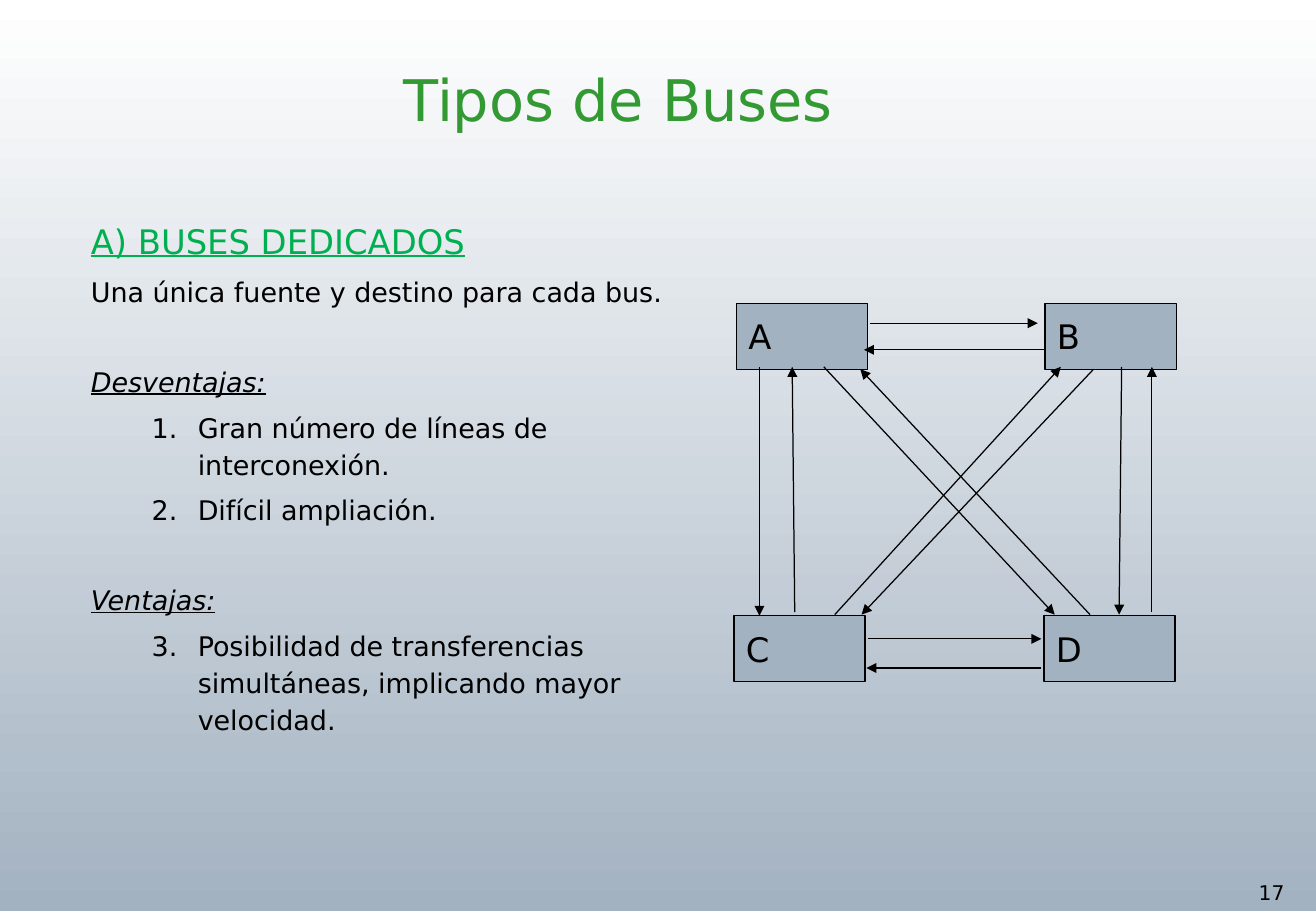
from dataclasses import dataclass

from lxml import etree
from pptx import Presentation
from pptx import util as u
from pptx.dml.color import RGBColor
from pptx.enum import shapes, text
from pptx.oxml import ns

FONT = "DejaVu Sans"
BLACK, STEEL, WHITE = "000000", "A3B2C1", "FFFFFF"
TITLE_GREEN, HEADING_GREEN = "339933", "00B050"
LINE_WIDTH = u.Pt(0.75)
LINE_SPACING = 1.15
SPACING_SHARE = 0.15
SECTION_GAP = 26.7
HANGING = u.Inches(0.38)
LIST_INDENT = u.Inches(0.88)

presentation = Presentation()
presentation.slide_width = u.Inches(10.83)
presentation.slide_height = u.Inches(7.5)
COLUMN = presentation.slide_width / 100
ROW = presentation.slide_height / 100


@dataclass(frozen=True)
class Area:
    column: float
    row: float
    columns: float
    rows: float


@dataclass(frozen=True)
class Node:
    label: str
    column: float
    row: float
    columns: float = 9.97
    rows: float = 7.2


@dataclass(frozen=True)
class Bus:
    start_column: float
    start_row: float
    end_column: float
    end_row: float


@dataclass(frozen=True)
class Line:
    wording: str
    size: float = 16
    color: str = BLACK
    italic: bool = False
    underline: bool = False
    number: int = 0
    gap: float = 0


TITLE_AREA = Area(9.6, 5.2, 74.79, 10.13)
BODY_AREA = Area(6, 22.93, 46.45, 60.67)
PAGE_AREA = Area(94.74, 96, 5.26, 4)

LINES = [
    Line("A) BUSES DEDICADOS", size=20, color=HEADING_GREEN, underline=True),
    Line("Una única fuente y destino para cada bus."),
    Line("Desventajas:", italic=True, underline=True, gap=SECTION_GAP),
    Line("Gran número de líneas de interconexión.", number=1),
    Line("Difícil ampliación.", number=2),
    Line("Ventajas:", italic=True, underline=True, gap=SECTION_GAP),
    Line("Posibilidad de transferencias simultáneas, implicando mayor velocidad.", number=3),
]

NODES = [
    Node("A", 55.96, 33.33),
    Node("B", 79.41, 33.33),
    Node("C", 55.77, 67.6),
    Node("D", 79.32, 67.6),
]

BUSES = [
    Bus(66.11, 35.47, 78.86, 35.47),
    Bus(79.32, 38.4, 65.65, 38.4),
    Bus(57.71, 40.27, 57.71, 67.6),
    Bus(60.39, 67.2, 60.2, 40.27),
    Bus(85.23, 40.27, 85.04, 67.47),
    Bus(87.53, 67.2, 87.53, 40.27),
    Bus(65.93, 70.13, 79.13, 70.13),
    Bus(79.13, 73.33, 65.84, 73.33),
    Bus(63.43, 67.47, 80.61, 40.27),
    Bus(83.1, 40.53, 65.47, 67.47),
    Bus(62.6, 40.27, 80.15, 67.47),
    Bus(82.83, 67.47, 65.37, 40.53),
]


def paint(color_format, value: str) -> None:
    color_format.rgb = RGBColor.from_string(value)


def place(area: Area | Node) -> tuple[int, int, int, int]:
    return (
        round(area.column * COLUMN),
        round(area.row * ROW),
        round(area.columns * COLUMN),
        round(area.rows * ROW),
    )


def add_run(paragraph, line: Line) -> None:
    run = paragraph.add_run()
    run.text = line.wording
    run.font.name = FONT
    run.font.size = u.Pt(line.size)
    run.font.italic = line.italic
    run.font.underline = line.underline
    paint(run.font.color, line.color)


def space(paragraph, line: Line) -> None:
    paragraph.line_spacing = LINE_SPACING
    paragraph.space_before = u.Pt(line.size * SPACING_SHARE + line.gap)
    paragraph.space_after = u.Pt(line.size * SPACING_SHARE)


def indent(paragraph, number: int) -> None:
    properties = paragraph._p.get_or_add_pPr()
    properties.set("marL", str(LIST_INDENT if number else HANGING))
    properties.set("indent", str(-HANGING))
    if number:
        bullet = etree.SubElement(properties, ns.qn("a:buAutoNum"))
        bullet.set("type", "arabicPeriod")
        bullet.set("startAt", str(number))


def draw_background(slide) -> None:
    fill = slide.background.fill
    fill.gradient()
    fill.gradient_angle = 270
    for stop, position, color in zip(fill.gradient_stops, (0, 1), (WHITE, STEEL)):
        stop.position = position
        paint(stop.color, color)


def draw_title(slide) -> None:
    title = slide.shapes.title
    title.left, title.top, title.width, title.height = place(TITLE_AREA)
    frame = title.text_frame
    frame.auto_size = text.MSO_AUTO_SIZE.NONE
    frame.vertical_anchor = text.MSO_ANCHOR.TOP
    paragraph = frame.paragraphs[0]
    paragraph.alignment = text.PP_ALIGN.CENTER
    line = Line("Tipos de Buses", size=34, color=TITLE_GREEN)
    space(paragraph, line)
    add_run(paragraph, line)


def draw_body(slide) -> None:
    frame = slide.shapes.add_textbox(*place(BODY_AREA)).text_frame
    frame.word_wrap = True
    for index, line in enumerate(LINES):
        paragraph = frame.add_paragraph() if index else frame.paragraphs[0]
        space(paragraph, line)
        indent(paragraph, line.number)
        add_run(paragraph, line)


def draw_page_number(slide) -> None:
    frame = slide.shapes.add_textbox(*place(PAGE_AREA)).text_frame
    frame.word_wrap = False
    add_run(frame.paragraphs[0], Line("17", size=12))


def draw_node(slide, node: Node) -> None:
    shape = slide.shapes.add_shape(shapes.MSO_SHAPE.RECTANGLE, *place(node))
    shape.shadow.inherit = False
    shape.fill.solid()
    paint(shape.fill.fore_color, STEEL)
    paint(shape.line.color, BLACK)
    shape.line.width = LINE_WIDTH
    frame = shape.text_frame
    frame.vertical_anchor = text.MSO_ANCHOR.MIDDLE
    paragraph = frame.paragraphs[0]
    paragraph.alignment = text.PP_ALIGN.LEFT
    add_run(paragraph, Line(node.label, size=20))


def draw_bus(slide, bus: Bus) -> None:
    connector = slide.shapes.add_connector(
        shapes.MSO_CONNECTOR.STRAIGHT,
        round(bus.start_column * COLUMN),
        round(bus.start_row * ROW),
        round(bus.end_column * COLUMN),
        round(bus.end_row * ROW),
    )
    paint(connector.line.color, BLACK)
    connector.line.width = LINE_WIDTH
    outline = connector.line._get_or_add_ln()
    etree.SubElement(outline, ns.qn("a:tailEnd")).set("type", "triangle")
    etree.SubElement(connector._element.spPr, ns.qn("a:effectLst"))


slide = presentation.slides.add_slide(presentation.slide_layouts.get_by_name("Title Only"))
draw_background(slide)
draw_title(slide)
draw_body(slide)
draw_page_number(slide)
for node in NODES:
    draw_node(slide, node)
for bus in BUSES:
    draw_bus(slide, bus)

presentation.save("out.pptx")
